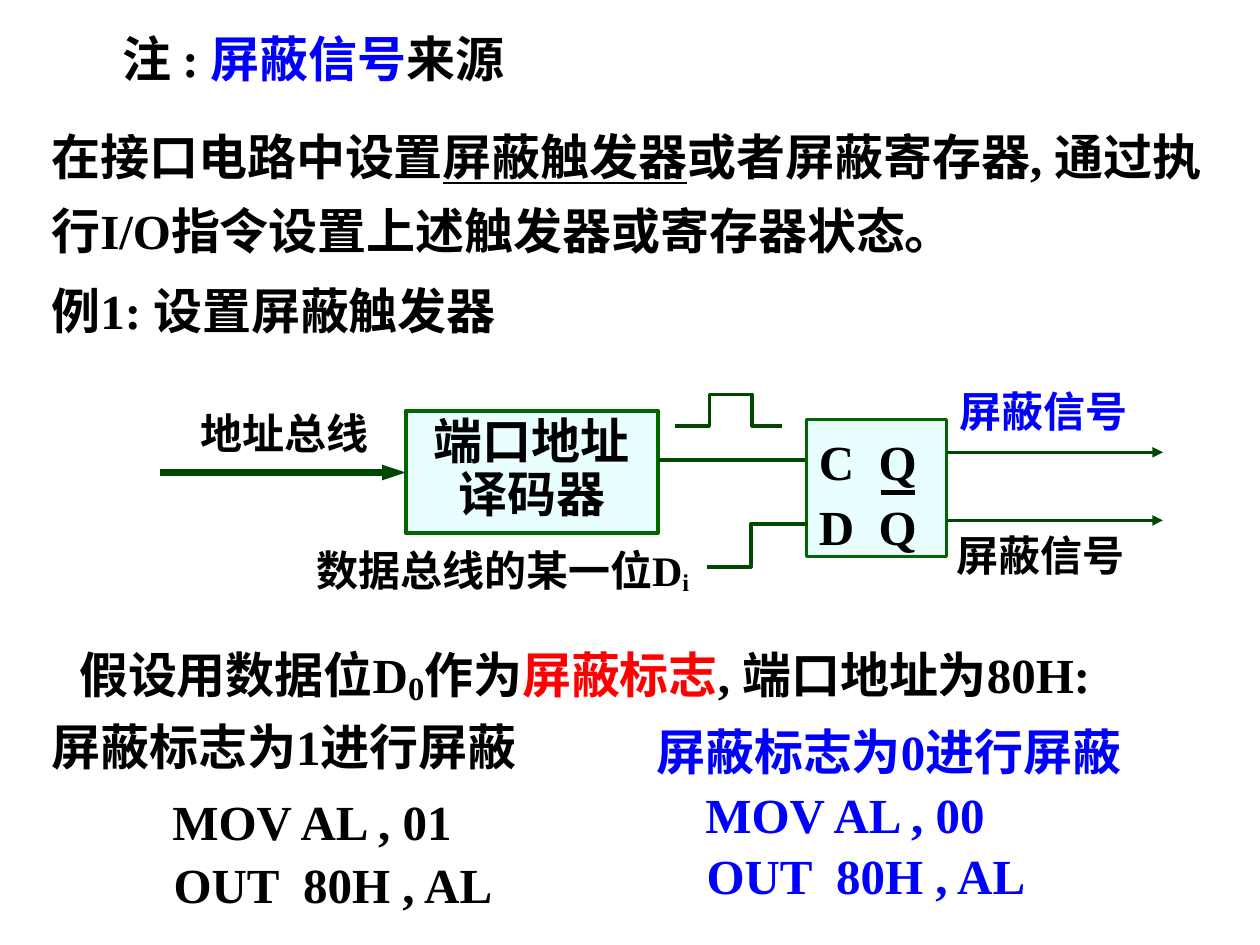
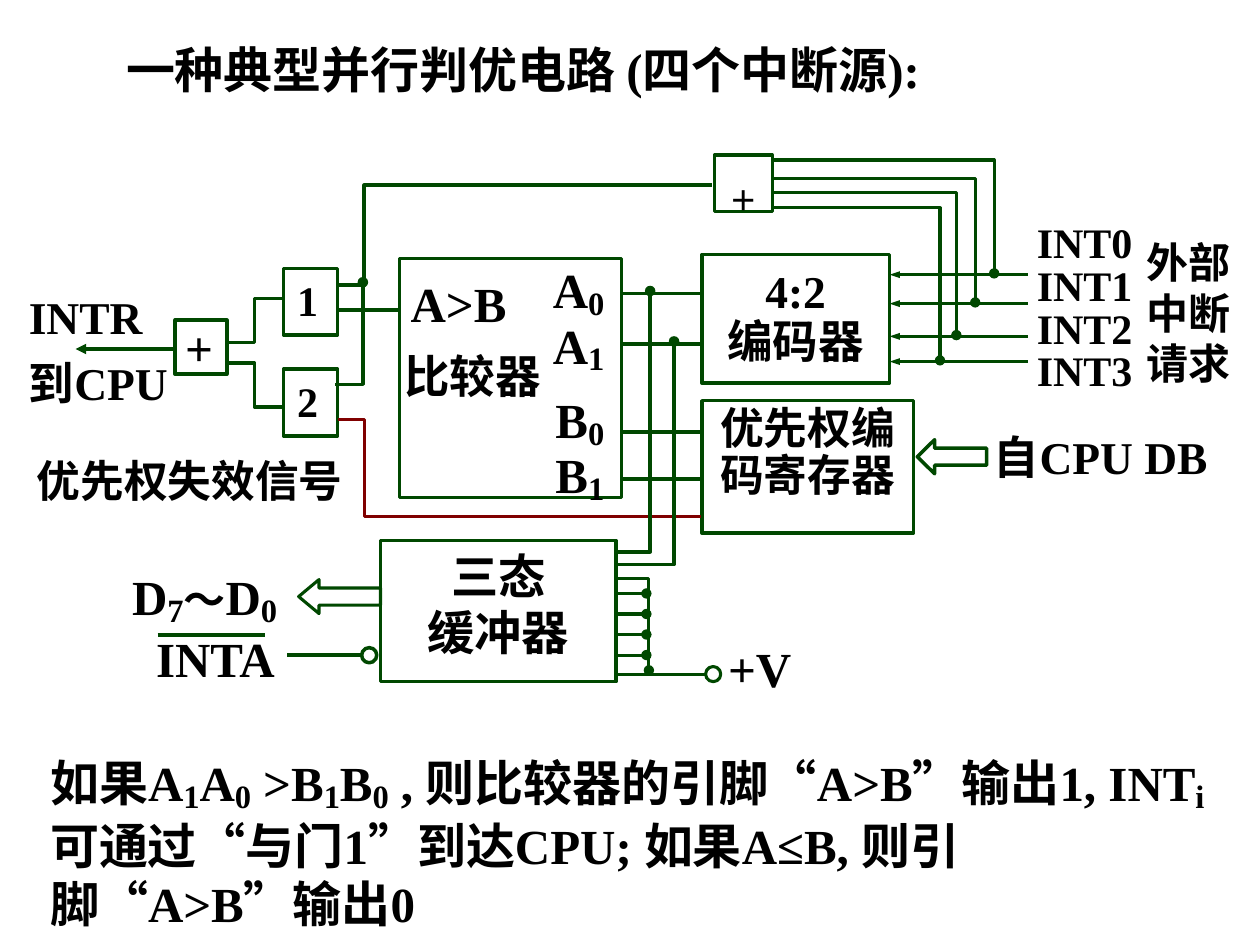
from dataclasses import dataclass
from typing import Optional

from lxml.etree import SubElement
from pptx import Presentation
from pptx.dml.color import RGBColor
from pptx.enum.shapes import MSO_CONNECTOR, MSO_SHAPE
from pptx.enum.text import MSO_ANCHOR, MSO_AUTO_SIZE, PP_ALIGN
from pptx.oxml.ns import qn
from pptx.util import Inches, Pt

BLACK = RGBColor(0x00, 0x00, 0x00)
BLUE = RGBColor(0x00, 0x00, 0xFF)
RED = RGBColor(0xFF, 0x00, 0x00)
MAROON = RGBColor(0x80, 0x00, 0x00)
WIRE_GREEN = RGBColor(0x00, 0x48, 0x00)
BLOCK_GREEN = RGBColor(0x00, 0x66, 0x00)
PALE_CYAN = RGBColor(0xE9, 0xFF, 0xFF)

FONT = "Times New Roman"
TITLE_ONLY = 5
COLUMNS, ROWS = 100, 75


@dataclass
class Run:
    text: str
    color: Optional[RGBColor] = None
    size: Optional[float] = None
    underline: Optional[bool] = None
    baseline: int = 0


def sub(text, size=32):
    return Run(text, size=size, baseline=-12)


class CircuitSlide:
    def __init__(self, presentation):
        self.column = presentation.slide_width / COLUMNS
        self.row = presentation.slide_height / ROWS
        self.slide = presentation.slides.add_slide(presentation.slide_layouts[TITLE_ONLY])
        self.shapes = self.slide.shapes

    def place(self, column, row):
        return round(column * self.column), round(row * self.row)

    def fill_text(self, frame, paragraphs, size=28, color=BLACK, spacing=1.0,
                  align=PP_ALIGN.LEFT, anchor=MSO_ANCHOR.TOP):
        frame.word_wrap = True
        frame.auto_size = MSO_AUTO_SIZE.NONE
        frame.vertical_anchor = anchor
        for index, content in enumerate(paragraphs):
            paragraph = frame.add_paragraph() if index else frame.paragraphs[0]
            paragraph.alignment = align
            paragraph.line_spacing = spacing
            paragraph.font.name = FONT
            paragraph.font.bold = True
            paragraph.font.size = Pt(size)
            paragraph.font.color.rgb = color
            for part in content if isinstance(content, list) else [content]:
                self.add_run(paragraph, part if isinstance(part, Run) else Run(part))

    def add_run(self, paragraph, part):
        run = paragraph.add_run()
        run.text = part.text
        if part.color is not None:
            run.font.color.rgb = part.color
        if part.size:
            run.font.size = Pt(part.size)
        if part.underline:
            run.font.underline = True
        if part.baseline:
            run.font._element.set("baseline", str(part.baseline * 1000))

    def title(self, column, row, width, height, content):
        title = self.shapes.title
        title.left, title.top = self.place(column, row)
        title.width, title.height = self.place(width, height)
        self.fill_text(title.text_frame, [content])

    def text(self, column, row, width, height, *paragraphs, **style):
        box = self.shapes.add_textbox(*self.place(column, row), *self.place(width, height))
        self.fill_text(box.text_frame, paragraphs, **style)

    def block(self, column, row, width, height, *paragraphs, kind=MSO_SHAPE.RECTANGLE,
              fill=None, line=WIRE_GREEN, weight=2, head_share=None, **style):
        shape = self.shapes.add_shape(kind, *self.place(column, row), *self.place(width, height))
        if fill is None:
            shape.fill.background()
        else:
            shape.fill.solid()
            shape.fill.fore_color.rgb = fill
        if head_share:
            shape.adjustments[1] = head_share
        shape.shadow.inherit = False
        self.stroke(shape, line, weight)
        self.fill_text(shape.text_frame, paragraphs, **style)

    def stroke(self, shape, color, weight, head=None, tail=None, head_width="med"):
        shape.line.color.rgb = color
        shape.line.width = Pt(weight)
        outline = shape._element.spPr.find(qn("a:ln"))
        for tag, end in (("a:headEnd", head), ("a:tailEnd", tail)):
            if end:
                SubElement(outline, qn(tag), type=end, w=head_width, len="med")

    def line(self, start, end, color=WIRE_GREEN, weight=2, **ends):
        connector = self.shapes.add_connector(
            MSO_CONNECTOR.STRAIGHT, *self.place(*start), *self.place(*end))
        self.stroke(connector, color, weight, **ends)
        SubElement(connector._element.spPr, qn("a:effectLst"))

    def wire(self, *points, color=WIRE_GREEN, weight=2, **ends):
        start, *corners = [self.place(*point) for point in points]
        builder = self.shapes.build_freeform(*start, scale=1.0)
        builder.add_line_segments(corners, close=False)
        shape = builder.convert_to_shape()
        shape.fill.background()
        shape.shadow.inherit = False
        self.stroke(shape, color, weight, **ends)


def add_mask_slide(presentation):
    page = CircuitSlide(presentation)
    page.title(8.7, 1.8, 55.4, 5.7, ["注 : ", Run("屏蔽信号", BLUE), "来源"])
    page.text(3.1, 8.4, 96.9, 12.2, [
        "在接口电路中设置", Run("屏蔽触发器", underline=True),
        "或者屏蔽寄存器, 通过执行I/O指令设置上述触发器或寄存器状态。"], spacing=Pt(42))
    page.text(3.1, 21.8, 41.4, 5.7, "例1: 设置屏蔽触发器")

    page.text(14.9, 32.3, 17.3, 4.6, "地址总线", size=24, spacing=0.9)
    page.text(24.1, 42.7, 34.8, 5.1, ["数据总线的某一位D", sub("i", 24)], size=24)
    page.block(32.2, 32.6, 20, 9.7, "端口地址译码器", fill=PALE_CYAN, line=BLOCK_GREEN,
               weight=2.25, spacing=0.9, align=PP_ALIGN.CENTER)
    page.block(64, 33.3, 11.1, 10.9, "C  Q", "D  Q", fill=PALE_CYAN, line=BLOCK_GREEN,
               weight=1.75, spacing=1.1)
    page.line((69.9, 39.1), (72.6, 39.1), color=BLACK, weight=3)
    page.line((12.7, 37.5), (32.2, 37.5), weight=4.5, tail="triangle", head_width="sm")
    page.line((52.2, 36.5), (63.9, 36.5))
    page.wire((53.6, 33.8), (56.3, 33.8), (56.3, 31.3), (59.7, 31.3), (59.7, 33.8), (62.1, 33.8))
    page.wire((64.1, 41.6), (59.6, 41.6), (59.6, 45), (56.1, 45))
    for label_column, label_row, arrow_row, color in (
            (75.2, 30.1, 35.9, BLUE), (74.9, 41.5, 41.3, BLACK)):
        page.text(label_column, label_row, 17.3, 5.1, "屏蔽信号", size=24, color=color)
        page.line((75.2, arrow_row), (92.3, arrow_row), tail="triangle")

    page.text(5.3, 50.1, 87.2, 5.7, [
        "假设用数据位D", sub("0"), "作为", Run("屏蔽标志", RED), ", 端口地址为80H:"])
    page.text(3.1, 56.4, 43.1, 5.7, "屏蔽标志为1进行屏蔽")
    page.text(51.1, 56.8, 43.8, 5.7, "屏蔽标志为0进行屏蔽", color=BLUE)
    for column, first_row, second_row, value, color in (
            (12.7, 62.3, 67.3, "01", BLACK), (55, 61.8, 66.6, "00", BLUE)):
        page.text(column, first_row, 28, 5.7, f"MOV AL , {value}", color=color)
        page.text(column + 0.1, second_row, 30.7, 5.7, "OUT  80H , AL", color=color)


def add_request_inputs(page):
    page.block(56.7, 12.3, 4.6, 4.5, [Run("＋", baseline=-25)], weight=1.75,
               align=PP_ALIGN.CENTER, anchor=MSO_ANCHOR.MIDDLE)
    page.block(55.7, 20.2, 14.9, 10.2, "4:2", "编码器", size=26, spacing=0.9,
               align=PP_ALIGN.CENTER, anchor=MSO_ANCHOR.MIDDLE)
    for gate_row, tap_column, request_row in (
            (12.7, 78.9, 21.8), (14.2, 77.4, 24.1), (15.3, 75.9, 26.7), (16.5, 74.6, 28.7)):
        page.line((70.6, request_row), (81.6, request_row), weight=1.75,
                  head="triangle", head_width="sm")
        page.wire((61.4, gate_row), (tap_column, gate_row), (tap_column, request_row - 0.1),
                  weight=1.75, tail="oval")
    page.text(81.3, 17.3, 11.2, 14.6, *(f"INT{number}" for number in range(4)),
              size=24, spacing=0.85)
    page.text(90, 18.3, 11.6, 13.1, "外部中断请求", size=24)


def add_comparator(page):
    page.block(31.7, 20.5, 17.6, 19, weight=1.75)
    page.text(31.6, 21.2, 10.5, 5.7, "A>B")
    page.text(31.1, 27.1, 14.2, 5.3, "比较器", size=26)
    for column, row, letter in ((42.9, 20.5, "A"), (43.1, 30.8, "B")):
        page.text(column, row, 8.3, 8.5, *([letter, sub(digit)] for digit in "01"), spacing=0.8)
    for row in (23.3, 27.3, 34.3, 38):
        page.line((55.7, row), (49.2, row))
    page.block(55.7, 31.8, 16.8, 10.5, "优先权编码寄存器", size=25, spacing=0.9,
               align=PP_ALIGN.CENTER)
    page.block(72.8, 34.9, 5.5, 2.7, kind=MSO_SHAPE.LEFT_ARROW, head_share=0.51)
    page.text(77.9, 33.6, 19.6, 5.3, "自CPU DB", size=26)


def add_interrupt_output(page):
    for row, label in ((21.3, "1"), (29.3, "2")):
        page.block(22.5, row, 4.3, 5.3)
        page.text(22.6, row, 5.8, 5, label, size=24)
    page.block(13.9, 25.4, 4.1, 4.3)
    page.text(13.7, 24.7, 6.2, 5.7, "+")
    for gate_row, sum_row in ((23.7, 27.2), (32.3, 28.8)):
        page.wire((22.4, gate_row), (20.2, gate_row), (20.2, sum_row), (17.9, sum_row))
    page.line((26.8, 24.6), (31.6, 24.6))
    page.wire((56.5, 14.7), (28.9, 14.7), (28.9, 22.6), (26.7, 22.6))
    page.wire((28.8, 22.4), (28.8, 30.5), (26.6, 30.5), head="oval")
    page.wire((55.6, 41), (28.9, 41), (28.9, 33.3), (26.8, 33.3), color=MAROON, weight=1.75)
    page.line((13.8, 27.7), (6, 27.7), tail="triangle")
    page.text(1.3, 21.6, 14.2, 11.4, "INTR到CPU", size=26, spacing=1.2)
    page.text(0.6, 35.5, 28.9, 5.2, "优先权失效信号", size=25, align=PP_ALIGN.CENTER)


def add_buffer(page):
    page.block(30.2, 42.9, 18.7, 11.2, "三态", "缓冲器", size=27, align=PP_ALIGN.CENTER)
    for column, top, bottom in ((51.6, 23.1, 43.8), (53.5, 27.1, 44.8)):
        page.wire((column, top), (column, bottom), (48.9, bottom), head="oval")
    page.wire((49, 45.9), (51.5, 45.9), (51.5, 53.2), weight=1.75, tail="oval")
    for index in range(4):
        row = 47.1 + 1.63 * index
        page.line((48.8, row), (51.3, row), weight=1.75, tail="oval")
    page.line((49, 53.5), (56, 53.5), weight=1.75)
    page.block(56, 52.9, 1.2, 1.2, kind=MSO_SHAPE.OVAL, weight=1.75)
    page.text(56.8, 50.2, 11.7, 5.7, "+V")
    page.block(23.7, 46, 6.5, 2.7, kind=MSO_SHAPE.LEFT_ARROW, weight=1.75, head_share=0.6)
    page.text(9.5, 43.9, 16.5, 5.7, ["D", sub("7"), Run("～", size=24), "D", sub("0")])
    page.block(28.7, 51.4, 1.2, 1.2, kind=MSO_SHAPE.OVAL)
    page.line((22.8, 52), (28.7, 52))
    page.text(11.4, 49.4, 12.2, 5.7, "INTA")
    page.line((12.5, 50.4), (21, 50.4), weight=1.75)


def add_priority_slide(presentation):
    page = CircuitSlide(presentation)
    page.title(9, 2.6, 82.3, 5.7, "一种典型并行判优电路 (四个中断源):")
    add_request_inputs(page)
    add_comparator(page)
    add_interrupt_output(page)
    add_buffer(page)
    page.text(3, 58.7, 95.7, 15.1, [
        "如果A", sub("1"), "A", sub("0"), " >B", sub("1"), "B", sub("0"),
        " , 则比较器的引脚“A>B”输出1, INT", sub("i"),
        "可通过“与门1”到达CPU; 如果A≤B, 则引脚“A>B”输出0"])


def main():
    presentation = Presentation()
    presentation.slide_width = Inches(10)
    presentation.slide_height = Inches(7.5)
    add_mask_slide(presentation)
    add_priority_slide(presentation)
    presentation.save("out.pptx")


if __name__ == "__main__":
    main()
